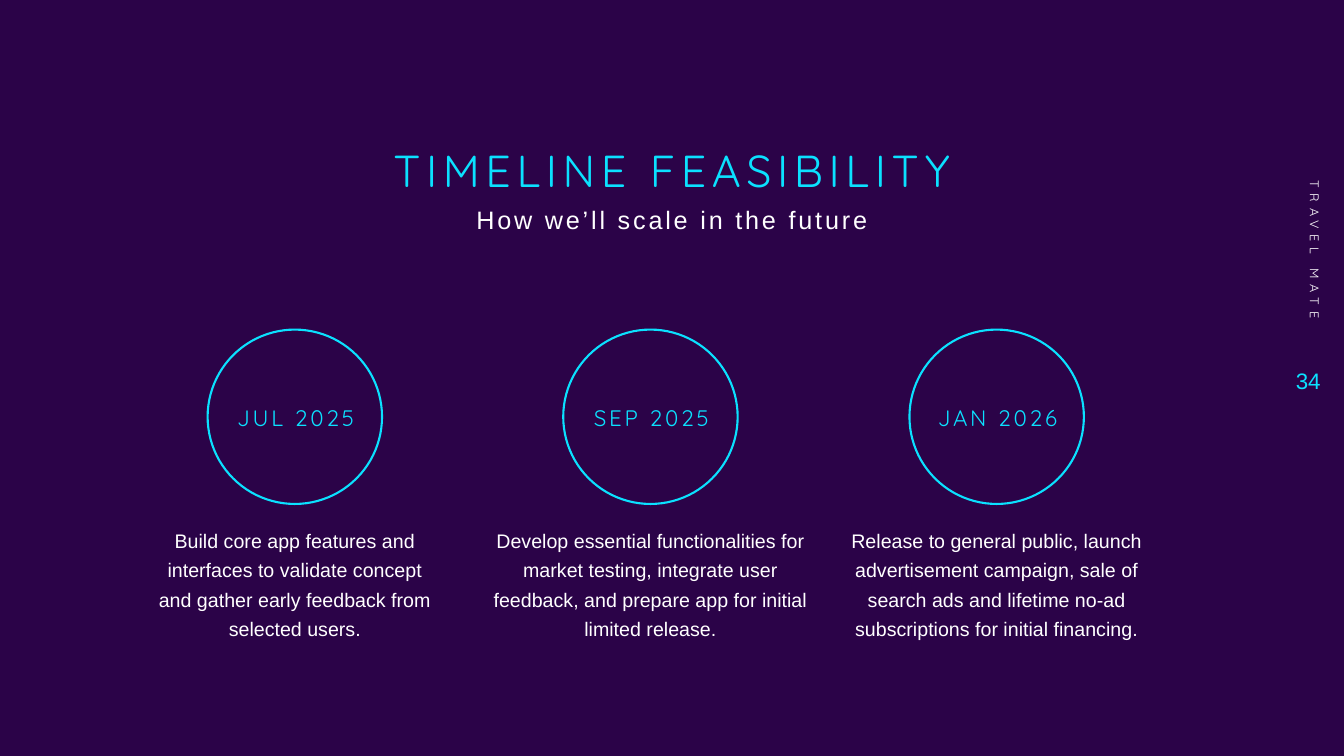
"""Build the timeline feasibility slide with three dated milestones."""
import pptx
import pptx.dml.color
import pptx.enum.shapes
import pptx.enum.text
import pptx.oxml.ns
import pptx.util

WIDTH = pptx.util.Inches(13.33)
HEIGHT = pptx.util.Inches(7.5)
COLORS = {"background": "2B0348", "accent": "0BE1FF", "text": "FFFFFF"}
ALIGN = pptx.enum.text.PP_ALIGN
ANCHOR = pptx.enum.text.MSO_ANCHOR

CIRCLE_WIDTH = 1.73 / 13.33 * 100
CIRCLE_HEIGHT = 1.73 / 7.5 * 100

MILESTONES = [
    (21.94, 22.28, "JUL 2025",
     "Build core app features and interfaces to validate concept "
     "and gather early feedback from selected users."),
    (48.4, 24.98, "SEP 2025",
     "Develop essential functionalities for market testing, integrate user "
     "feedback, and prepare app for initial limited release."),
    (74.16, 24.98, "JAN 2026",
     "Release to general public, launch advertisement campaign, sale of "
     "search ads and lifetime no-ad subscriptions for initial financing."),
]


def color(name):
    """Return the named colour."""
    return pptx.dml.color.RGBColor.from_string(COLORS[name])


def place(center, top, width, height):
    """Turn percentages of the slide into left, top, width and height."""
    return (int(WIDTH * (center - width / 2) / 100), int(HEIGHT * top / 100),
            int(WIDTH * width / 100), int(HEIGHT * height / 100))


def add_text(slide, box, text, size, ink="text", font="Arial", tracking=0,
             align=ALIGN.CENTER, anchor=ANCHOR.TOP, line_spacing=1.0):
    """Add a one-paragraph text box and return it."""
    shape = slide.shapes.add_textbox(*place(*box))
    frame = shape.text_frame
    frame.word_wrap = True
    frame.vertical_anchor = anchor
    paragraph = frame.paragraphs[0]
    paragraph.text = text
    paragraph.alignment = align
    paragraph.line_spacing = line_spacing
    paragraph.font.name = font
    paragraph.font.size = pptx.util.Pt(size)
    paragraph.font.color.rgb = color(ink)
    properties = paragraph._p.pPr.find(pptx.oxml.ns.qn("a:defRPr"))
    properties.set("spc", str(tracking * 100))
    return shape


def add_circle(slide, center):
    """Add an outlined milestone circle."""
    box = place(center, 43.6, CIRCLE_WIDTH, CIRCLE_HEIGHT)
    shape = slide.shapes.add_shape(pptx.enum.shapes.MSO_SHAPE.OVAL, *box)
    shape.shadow.inherit = False
    shape.fill.background()
    shape.line.color.rgb = color("accent")
    shape.line.width = pptx.util.Pt(1.5)


def add_milestone(slide, center, text_width, date, description):
    """Add a circle with its date and the description below it."""
    add_circle(slide, center)
    add_text(slide, (center + 0.07, 47.6, 14.03, 15.33), date, 16, "accent",
             "Quicksand", tracking=2, anchor=ANCHOR.MIDDLE)
    add_text(slide, (center, 68.53, text_width, 16.8), description, 14,
             line_spacing=1.25)


def add_heading(slide):
    """Add the title and subtitle."""
    add_text(slide, (50, 16.93, 46.05, 9.87), "TIMELINE FEASIBILITY", 32,
             "accent", "Quicksand", tracking=4, anchor=ANCHOR.BOTTOM,
             line_spacing=0.9)
    add_text(slide, (50, 26.8, 42.23, 10.53), "How we’ll scale in the future",
             18, tracking=2, line_spacing=0.9)


def add_margin(slide):
    """Add the vertical deck name and the page number."""
    name = add_text(slide, (97.84, 20.53, 22.73, 5.33), "TRAVEL MATE", 9,
                    font="Quicksand", tracking=4, align=ALIGN.RIGHT,
                    anchor=ANCHOR.MIDDLE)
    name.rotation = 90
    add_text(slide, (96.75, 46.13, 4.5, 8.4), "34", 16, "accent",
             align=ALIGN.RIGHT, anchor=ANCHOR.MIDDLE)


def main():
    """Build and save the presentation."""
    presentation = pptx.Presentation()
    presentation.slide_width = WIDTH
    presentation.slide_height = HEIGHT
    slide = presentation.slides.add_slide(presentation.slide_layouts[6])
    slide.background.fill.solid()
    slide.background.fill.fore_color.rgb = color("background")
    add_heading(slide)
    for milestone in MILESTONES:
        add_milestone(slide, *milestone)
    add_margin(slide)
    presentation.save("out.pptx")


if __name__ == "__main__":
    main()
